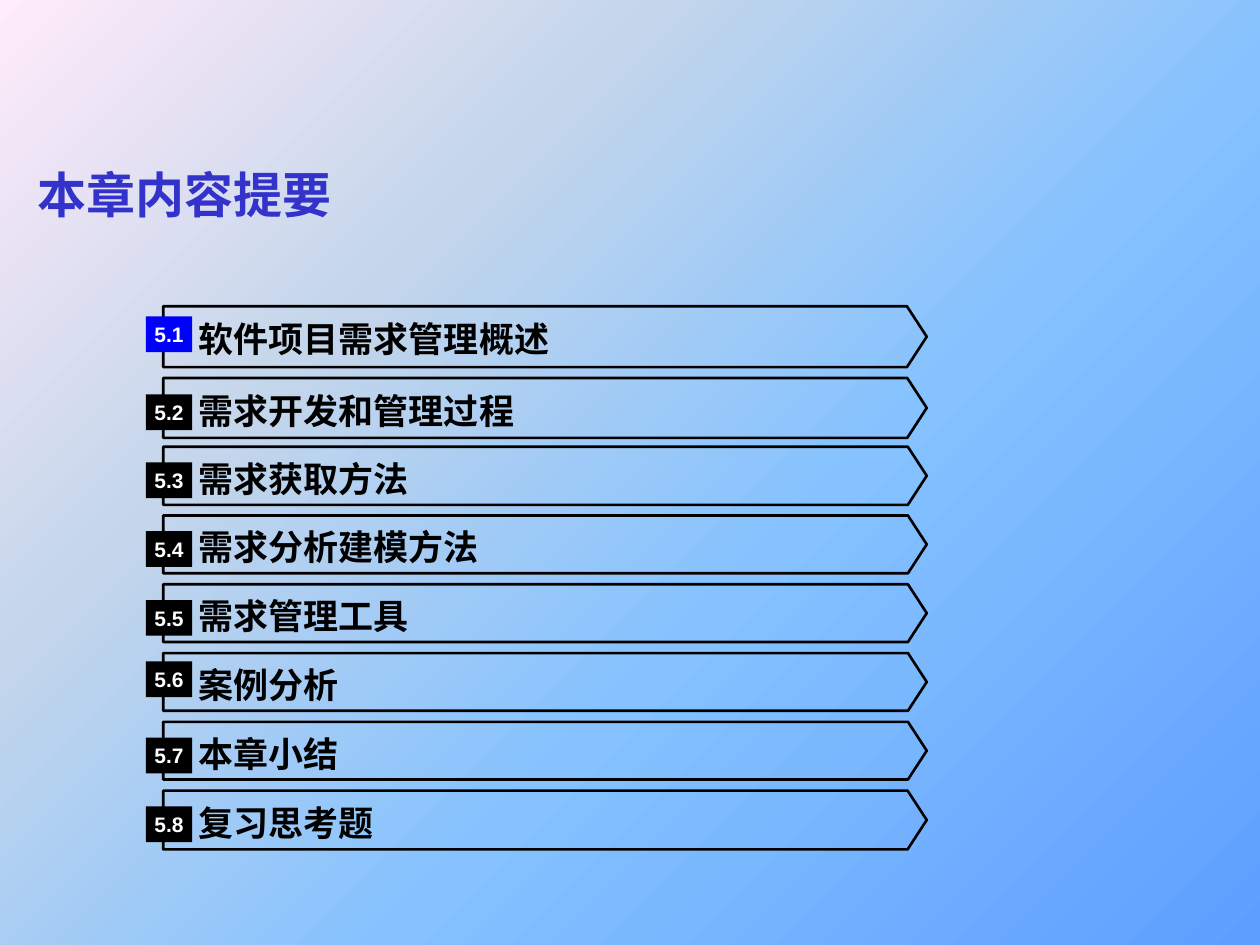
from dataclasses import dataclass

from lxml import etree
from pptx import Presentation
from pptx import util as u
from pptx.dml.color import RGBColor
from pptx.enum import shapes, text
from pptx.oxml.ns import qn

Pt = u.Pt


@dataclass(frozen=True)
class Theme:
    title: str = "3333CC"
    ink: str = "000000"
    active: str = "0000FF"
    badge_text: str = "FFFFFF"
    background: tuple = ((0, "5E9EFF"), (40, "85C2FF"), (70, "C4D6EB"), (100, "FFEBFA"))
    background_angle: int = 225
    title_size: int = 28
    label_size: int = 20
    badge_size: int = 12
    sans: str = "Arial"
    serif: str = "Times New Roman"


@dataclass(frozen=True)
class Section:
    number: str
    name: str
    top: float
    height: float
    badge_top: float
    color: str


THEME = Theme()
BAR_LEFT, BAR_WIDTH = 93.3, 436.3
LABEL_LEFT, LABEL_WIDTH, LABEL_HEIGHT = 113.5, 387.4, 24.5
BADGE_LEFT, BADGE_WIDTH, BADGE_HEIGHT = 83.4, 26.4, 20.4
FIRST_TOP, SECOND_TOP, PITCH = 175, 216, 39.3

# Name, bar height and badge offset below the bar top
ENTRIES = [
    ("软件项目需求管理概述", 34.8, 5.8),
    ("需求开发和管理过程", 34.2, 9.4),
    ("需求获取方法", 33.2, 9),
    ("需求分析建模方法", 33, 9),
    ("需求管理工具", 33, 9),
    ("案例分析", 33, 4.8),
    ("本章小结", 33, 9),
    ("复习思考题", 33.6, 9),
]


def write(tf, content: str, *, size: float, font: str, color: str,
          align=text.PP_ALIGN.LEFT, margin: float = 0) -> None:
    tf.word_wrap = True
    tf.vertical_anchor = text.MSO_ANCHOR.MIDDLE
    tf.margin_left = tf.margin_right = Pt(margin)
    tf.margin_top = tf.margin_bottom = Pt(margin / 2)
    p = tf.paragraphs[0]
    p.alignment = align
    r = p.add_run()
    r.text = content
    r.font.size, r.font.name, r.font.bold = Pt(size), font, True
    r.font.color.rgb = RGBColor.from_string(color)


def paint_background(s) -> None:
    fill = s.background.fill
    fill.gradient()
    fill.gradient_angle = 360 - THEME.background_angle
    stops = s.background._cSld.find(".//" + qn("a:gsLst"))
    for old in list(stops):
        stops.remove(old)
    for position, color in THEME.background:
        stop = etree.SubElement(stops, qn("a:gs"), pos=str(position * 1000))
        etree.SubElement(stop, qn("a:srgbClr"), val=color)


def draw_section(parent, section: Section) -> None:
    # Outlined arrow bar
    bar = parent.add_shape(shapes.MSO_SHAPE.PENTAGON, Pt(BAR_LEFT), Pt(section.top),
                           Pt(BAR_WIDTH), Pt(section.height))
    bar.adjustments[0] = 0.325
    bar.shadow.inherit = False
    bar.fill.background()
    bar.line.color.rgb = RGBColor.from_string(THEME.ink)
    bar.line.width = Pt(1.5)

    # Section name, just below the bar's centre line
    label_top = section.top + (section.height - LABEL_HEIGHT) / 2 + 1.3
    label = parent.add_textbox(Pt(LABEL_LEFT), Pt(label_top), Pt(LABEL_WIDTH), Pt(LABEL_HEIGHT))
    write(label.text_frame, section.name, size=THEME.label_size,
          font=THEME.serif, color=THEME.ink)
    label.text_frame.auto_size = text.MSO_AUTO_SIZE.SHAPE_TO_FIT_TEXT

    # Number badge
    badge = parent.add_shape(shapes.MSO_SHAPE.RECTANGLE, Pt(BADGE_LEFT), Pt(section.badge_top),
                             Pt(BADGE_WIDTH), Pt(BADGE_HEIGHT))
    badge.shadow.inherit = False
    badge.fill.solid()
    badge.fill.fore_color.rgb = RGBColor.from_string(section.color)
    badge.line.fill.background()
    write(badge.text_frame, section.number, size=THEME.badge_size, font=THEME.sans,
          color=THEME.badge_text, align=text.PP_ALIGN.CENTER)


def main() -> None:
    prs = Presentation()
    prs.slide_width, prs.slide_height = Pt(720), Pt(540)
    s = prs.slides.add_slide(prs.slide_layouts[5])
    paint_background(s)

    # Title
    title = s.shapes.title
    title.left, title.top, title.width, title.height = Pt(14.4), Pt(82.8), Pt(692), Pt(56.2)
    write(title.text_frame, "本章内容提要", size=THEME.title_size, font=THEME.sans,
          color=THEME.title, margin=7.2)

    # Chapter sections
    group = s.shapes.add_group_shape()
    for i, (name, height, offset) in enumerate(ENTRIES):
        top = SECOND_TOP + (i - 1) * PITCH if i else FIRST_TOP
        color = THEME.ink if i else THEME.active
        draw_section(group.shapes, Section(f"5.{i + 1}", name, top, height, top + offset, color))

    prs.save("out.pptx")


if __name__ == "__main__":
    main()
